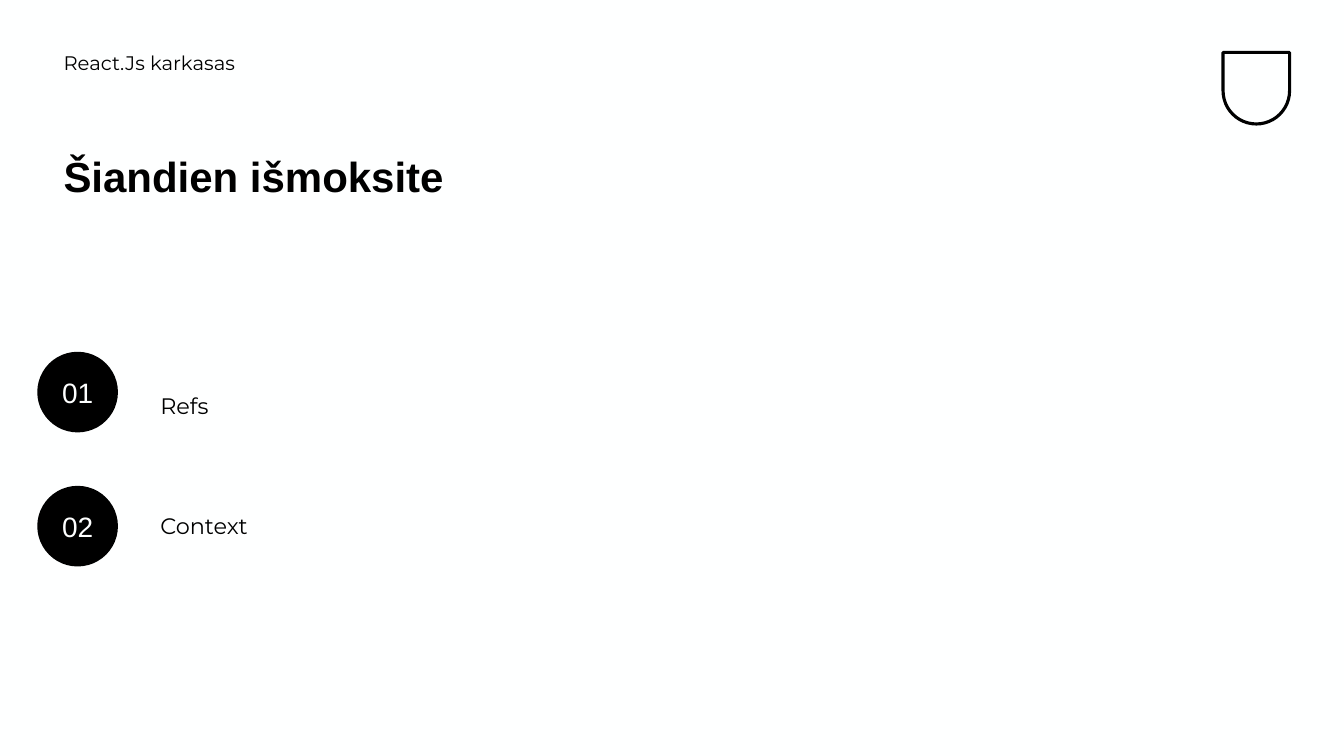
from pptx import Presentation, util as u
from pptx.dml.color import RGBColor
from pptx.enum import shapes, text
from pptx.oxml.ns import qn

BLACK = RGBColor(0, 0, 0)
WHITE = RGBColor(0xFE, 0xFF, 0xFF)
HEAD = "React.Js karkasas"
TITLE = "Šiandien išmoksite"
# topic, top of its box, bottom inset
TOPICS = [("Refs", 3.62, 0.05), ("Context", 4.95, 0.32)]
DOT_TOP, DOT_STEP, DOT_SIZE = 3.49, 1.33, 0.8


def place(shape, left, top, width, height):
    shape.left, shape.top = u.Inches(left), u.Inches(top)
    shape.width, shape.height = u.Inches(width), u.Inches(height)


def write(shape, words, size, font="Montserrat", color=BLACK, bold=False,
          align=text.PP_ALIGN.LEFT, anchor=text.MSO_ANCHOR.MIDDLE,
          lines=1.0, bottom=0.05):
    frame = shape.text_frame
    frame.text = words
    frame.word_wrap = True
    frame.auto_size = text.MSO_AUTO_SIZE.NONE
    frame.vertical_anchor = anchor
    frame.margin_bottom = u.Inches(bottom)
    para = frame.paragraphs[0]
    props = para._p.get_or_add_pPr()
    props.set("marL", "0")
    props.set("indent", "0")
    props.append(props.makeelement(qn("a:buNone"), {}))
    para.alignment = align
    para.line_spacing = lines
    para.space_before = u.Pt(0)
    style = para.runs[0].font
    style.name, style.size, style.bold = font, u.Pt(size), bold
    style.color.rgb = color


deck = Presentation()
deck.slide_width, deck.slide_height = u.Inches(13.33), u.Inches(7.5)
slide = deck.slides.add_slide(deck.slide_layouts.get_by_name("Comparison"))
slide.background.fill.solid()
slide.background.fill.fore_color.rgb = WHITE
holders = {p.placeholder_format.idx: p for p in slide.placeholders}
title, first, head, second, spare = (holders[i] for i in range(5))
spare.element.getparent().remove(spare.element)

badge = slide.shapes.add_shape(
    shapes.MSO_SHAPE.ROUND_2_SAME_RECTANGLE,
    u.Inches(12.13), u.Inches(0.52), u.Inches(0.66), u.Inches(0.71))
badge.rotation = 180
badge.adjustments[0] = 0.5
badge.shadow.inherit = False
badge.fill.background()
badge.line.color.rgb = BLACK
badge.line.width = u.Pt(2.25)

place(head, 0.53, 0.5, 6.14, 0.5)
write(head, HEAD, 14, anchor=text.MSO_ANCHOR.TOP, lines=0.8)
place(title, 0.53, 1.5, 5.64, 1.49)
write(title, TITLE, 30, font="Arial", bold=True,
      anchor=text.MSO_ANCHOR.TOP, lines=0.9)

for i, (box, (topic, top, bottom)) in enumerate(zip((first, second), TOPICS)):
    place(box, 1.49, top, 4.63, 0.8)
    write(box, topic, 16, bottom=bottom)
    dot = slide.shapes.add_shape(
        shapes.MSO_SHAPE.OVAL, u.Inches(0.37),
        u.Inches(DOT_TOP + i * DOT_STEP), u.Inches(DOT_SIZE), u.Inches(DOT_SIZE))
    dot.shadow.inherit = False
    dot.fill.solid()
    dot.fill.fore_color.rgb = BLACK
    dot.line.fill.background()
    write(dot, f"{i + 1:02}", 20, font="Arial", color=WHITE,
          align=text.PP_ALIGN.CENTER)

deck.save("out.pptx")
